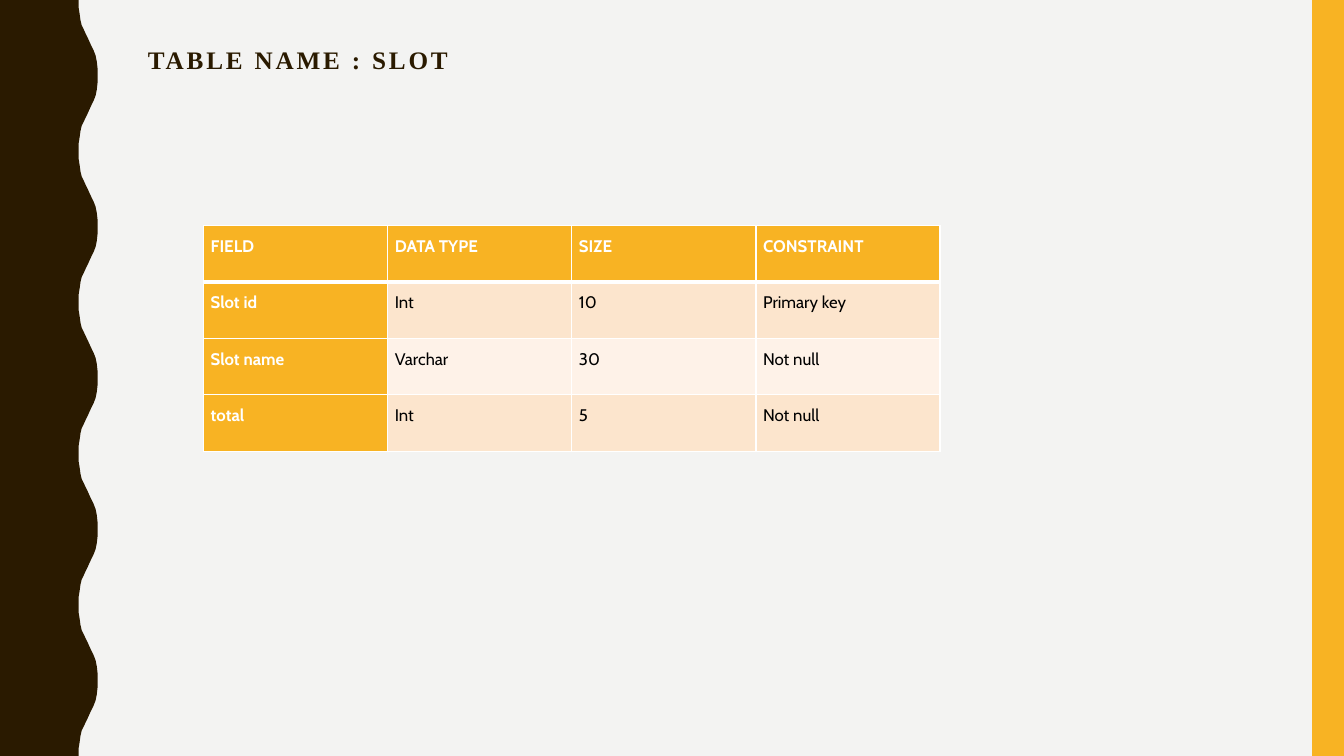
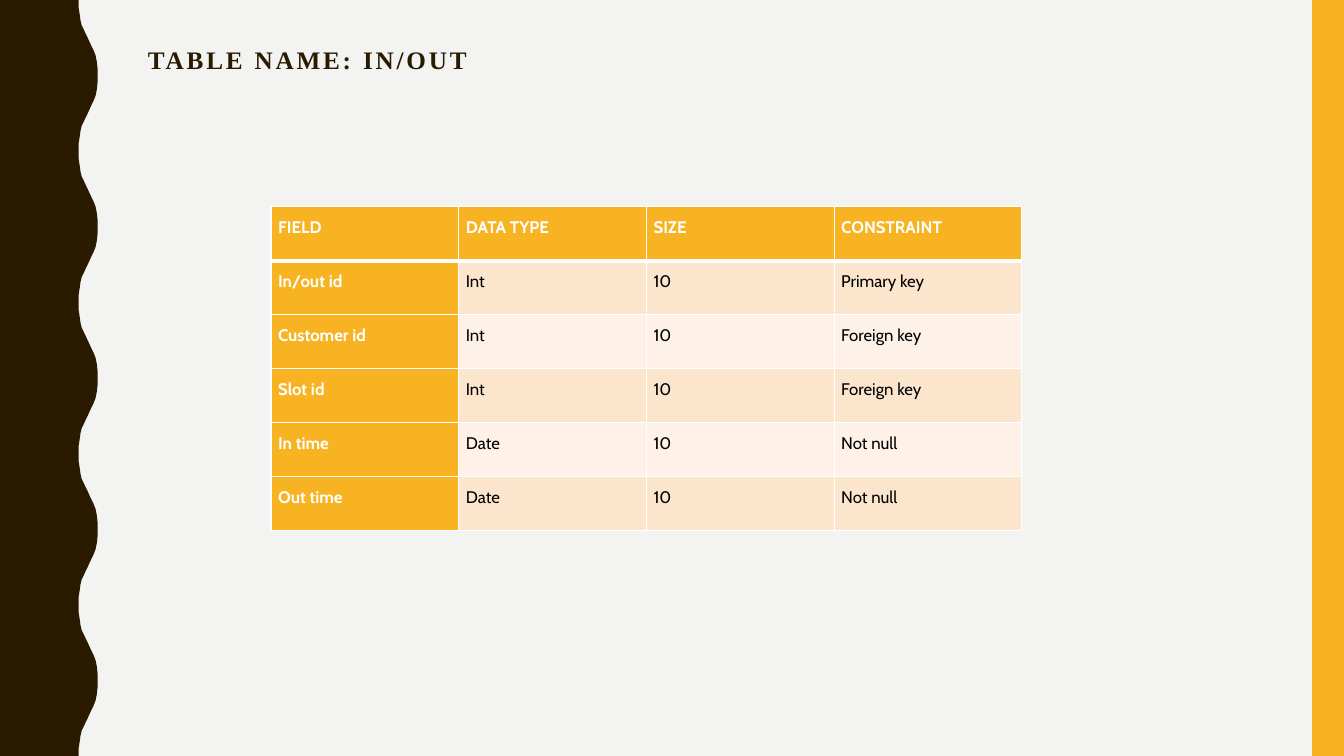
from dataclasses import dataclass

from lxml import etree
from pptx import Presentation
from pptx.dml.color import RGBColor
from pptx.enum.shapes import MSO_SHAPE
from pptx.enum.text import MSO_ANCHOR
from pptx.oxml.ns import qn
from pptx.util import Cm, Pt

RECTANGLE = MSO_SHAPE.RECTANGLE
TOP = MSO_ANCHOR.TOP

WIDTH, HEIGHT = 33.87, 19.05
HALF_WAVES = 10
HALF_WAVE = HEIGHT / HALF_WAVES
WAVE_PROFILE = [
    (1.98, 0), (1.98, 0.18), (2.01, 0.36), (2.03, 0.51), (2.06, 0.64),
    (2.11, 0.74), (2.16, 0.85), (2.21, 0.95), (2.26, 1.06), (2.31, 1.17),
    (2.36, 1.27), (2.41, 1.4), (2.44, 1.55), (2.46, 1.73), (2.46, HALF_WAVE),
]


@dataclass(frozen=True)
class Theme:
    paper: str = "F3F3F2"
    dark: str = "2A1A00"
    accent: str = "F8B323"
    band_odd: str = "FCE5CD"
    band_even: str = "FEF2E8"
    white: str = "FFFFFF"
    black: str = "000000"
    title_font: str = "Times New Roman"
    body_font: str = "Cabin"
    title_size: int = 18
    body_size: int = 12
    title_tracking: int = 2
    thin_rule: int = 1
    thick_rule: int = 3


class SchemaDeck:
    def __init__(self, theme):
        self.theme = theme
        self.deck = Presentation()
        self.deck.slide_width, self.deck.slide_height = Cm(WIDTH), Cm(HEIGHT)
        self.page = None

    def paint(self, fill, color):
        fill.solid()
        fill.fore_color.rgb = RGBColor.from_string(color)

    def style(self, paragraph, name, size, color, bold):
        font = paragraph.font
        font.name, font.size, font.bold = name, Pt(size), bold
        font.color.rgb = RGBColor.from_string(color)

    def finish_shape(self, shape, color):
        self.paint(shape.fill, color)
        shape.line.fill.background()
        shape.shadow.inherit = False

    def add_page(self, title):
        self.page = self.deck.slides.add_slide(self.deck.slide_layouts[6])
        self.paint(self.page.background.fill, self.theme.paper)
        self.add_wavy_edge()
        self.add_side_bar()
        self.add_title(title)

    def add_wavy_edge(self):
        points = []
        for index in range(HALF_WAVES):
            if index % 2:
                end = (index + 1) * HALF_WAVE
                points += [(x, end - y) for x, y in reversed(WAVE_PROFILE)]
            else:
                start = index * HALF_WAVE
                points += [(x, start + y) for x, y in WAVE_PROFILE]
        points.append((0, HEIGHT))
        builder = self.page.shapes.build_freeform(0, 0)
        builder.add_line_segments([(Cm(x), Cm(y)) for x, y in points])
        self.finish_shape(builder.convert_to_shape(), self.theme.dark)

    def add_side_bar(self):
        bar = self.page.shapes.add_shape(
            RECTANGLE, Cm(33.07), 0, Cm(0.8), Cm(HEIGHT))
        self.finish_shape(bar, self.theme.accent)

    def add_title(self, text):
        theme = self.theme
        box = self.page.shapes.add_textbox(
            Cm(3.48), Cm(1.07), Cm(28.27), Cm(4.14))
        frame = box.text_frame
        frame.word_wrap, frame.vertical_anchor = True, TOP
        paragraph = frame.paragraphs[0]
        paragraph.line_spacing = 0.9
        span = paragraph.add_run()
        span.text = text
        span.font._element.set("spc", str(theme.title_tracking * 100))
        self.style(paragraph, theme.title_font, theme.title_size,
                   theme.dark, True)

    def add_table(self, left, top, column_width, row_height, records):
        rows = [("FIELD", "DATA TYPE", "SIZE", "CONSTRAINT"), *records]
        columns = len(rows[0])
        table = self.page.shapes.add_table(
            len(rows), columns, Cm(left), Cm(top),
            Cm(column_width * columns), Cm(row_height * len(rows))).table
        for column in table.columns:
            column.width = Cm(column_width)
        for row_index, row in enumerate(rows):
            table.rows[row_index].height = Cm(row_height)
            for column_index, text in enumerate(row):
                self.fill_cell(table.cell(row_index, column_index), text,
                               row_index, column_index)

    def fill_cell(self, cell, text, row, column):
        theme = self.theme
        heading = row == 0 or column == 0
        band = theme.band_odd if row % 2 else theme.band_even
        cell.margin_left = cell.margin_right = Cm(0.18)
        cell.margin_top = cell.margin_bottom = 0
        cell.vertical_anchor = TOP
        self.add_borders(cell, row)
        self.paint(cell.fill, theme.accent if heading else band)
        paragraph = cell.text_frame.paragraphs[0]
        paragraph.text = text
        paragraph.line_spacing = 1.5
        self.style(paragraph, theme.body_font, theme.body_size,
                   theme.white if heading else theme.black, heading)

    def add_borders(self, cell, row):
        thin, thick = self.theme.thin_rule, self.theme.thick_rule
        widths = {
            "a:lnL": thin,
            "a:lnR": thin,
            "a:lnT": thick if row == 1 else thin,
            "a:lnB": thick if row == 0 else thin,
        }
        properties = cell._tc.get_or_add_tcPr()
        for tag, width in widths.items():
            line = etree.SubElement(properties, qn(tag), w=str(Pt(width)))
            fill = etree.SubElement(line, qn("a:solidFill"))
            etree.SubElement(fill, qn("a:srgbClr"), val=self.theme.white)


def main():
    schema = SchemaDeck(Theme())

    schema.add_page("TABLE NAME : SLOT")
    schema.add_table(5.13, 5.69, 4.64, 1.42, [
        ("Slot id", "Int", "10", "Primary key"),
        ("Slot name", "Varchar", "30", "Not null"),
        ("total", "Int", "5", "Not null"),
    ])

    schema.add_page("TABLE NAME: IN/OUT")
    schema.add_table(6.83, 5.21, 4.73, 1.36, [
        ("In/out id", "Int", "10", "Primary key"),
        ("Customer id", "Int", "10", "Foreign key"),
        ("Slot id", "Int", "10", "Foreign key"),
        ("In time", "Date", "10", "Not null"),
        ("Out time", "Date", "10", "Not null"),
    ])

    schema.deck.save("out.pptx")


if __name__ == "__main__":
    main()
